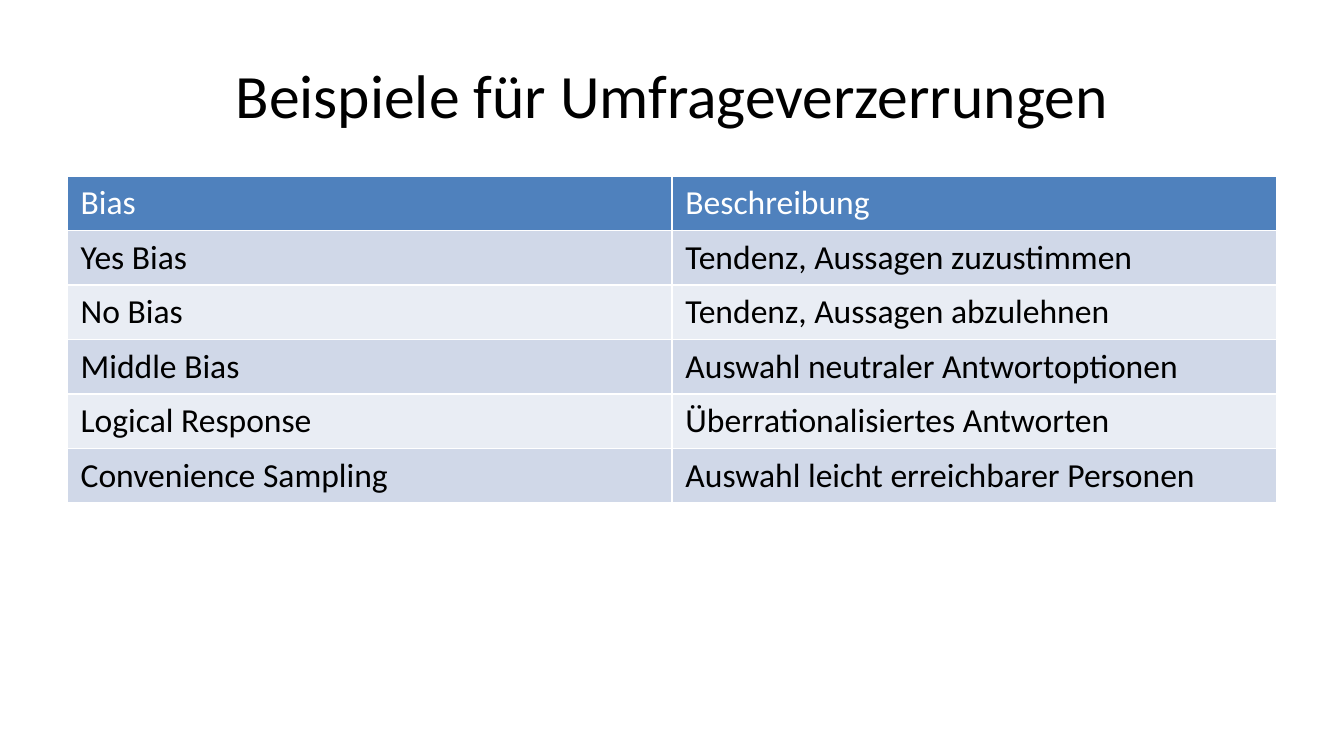
from typing import NamedTuple

from lxml import etree
from pptx import Presentation
from pptx.dml.color import RGBColor
from pptx.enum.text import MSO_ANCHOR, PP_ALIGN
from pptx.oxml.ns import qn
from pptx.util import Inches, Pt

COLORS = {
    "header": "4F81BD",
    "band_dark": "D0D8E8",
    "band_light": "E9EDF4",
    "border": "FFFFFF",
    "header_text": "FFFFFF",
    "text": "000000",
}
FONT = "Calibri"
WIDTH = 10
HEIGHT = WIDTH * 9 / 16
MARGIN = WIDTH * 0.05
CONTENT_WIDTH = WIDTH - 2 * MARGIN
ROW_HEIGHT = 0.4


class BiasRow(NamedTuple):
    bias: str
    description: str


HEADER = BiasRow("Bias", "Beschreibung")
BIASES = [
    BiasRow("Yes Bias", "Tendenz, Aussagen zuzustimmen"),
    BiasRow("No Bias", "Tendenz, Aussagen abzulehnen"),
    BiasRow("Middle Bias", "Auswahl neutraler Antwortoptionen"),
    BiasRow("Logical Response", "Überrationalisiertes Antworten"),
    BiasRow("Convenience Sampling", "Auswahl leicht erreichbarer Personen"),
]


def write(frame, text: str, size: float, color: str) -> None:
    frame.text = text
    font = frame.paragraphs[0].runs[0].font
    font.name, font.size, font.bold = FONT, Pt(size), False
    font.color.rgb = RGBColor.from_string(COLORS[color])


def set_borders(cell, width: float = 1) -> None:
    """Border elements come before the fill in the cell properties."""
    properties = cell._tc.get_or_add_tcPr()
    for position, tag in enumerate(("lnL", "lnR", "lnT", "lnB")):
        line = etree.Element(qn(f"a:{tag}"), w=str(Pt(width)))
        fill = etree.SubElement(line, qn("a:solidFill"))
        etree.SubElement(fill, qn("a:srgbClr"), val=COLORS["border"])
        properties.insert(position, line)


def fill_row(table, index: int, row: BiasRow) -> None:
    is_header = index == 0
    band = "header" if is_header else "band_dark" if index % 2 else "band_light"
    table.rows[index].height = Inches(ROW_HEIGHT)
    for column, text in enumerate(row):
        cell = table.cell(index, column)
        write(cell.text_frame, text, 18, "header_text" if is_header else "text")
        cell.fill.solid()
        cell.fill.fore_color.rgb = RGBColor.from_string(COLORS[band])
        set_borders(cell)


# Slide
presentation = Presentation()
presentation.slide_width, presentation.slide_height = Inches(WIDTH), Inches(HEIGHT)
slide = presentation.slides.add_slide(presentation.slide_layouts[5])

# Title
title = slide.shapes.title
title.left, title.top = Inches(MARGIN), Inches(0.23)
title.width, title.height = Inches(CONTENT_WIDTH), Inches(0.94)
write(title.text_frame, "Beispiele für Umfrageverzerrungen", 33, "text")
title.text_frame.vertical_anchor = MSO_ANCHOR.MIDDLE
title.text_frame.paragraphs[0].alignment = PP_ALIGN.CENTER

# Table of biases
rows = [HEADER, *BIASES]
bias_table = slide.shapes.add_table(
    len(rows), len(HEADER), Inches(MARGIN), Inches(1.31),
    Inches(CONTENT_WIDTH), Inches(ROW_HEIGHT * len(rows)),
).table
for row_index, bias_row in enumerate(rows):
    fill_row(bias_table, row_index, bias_row)

presentation.save("out.pptx")
